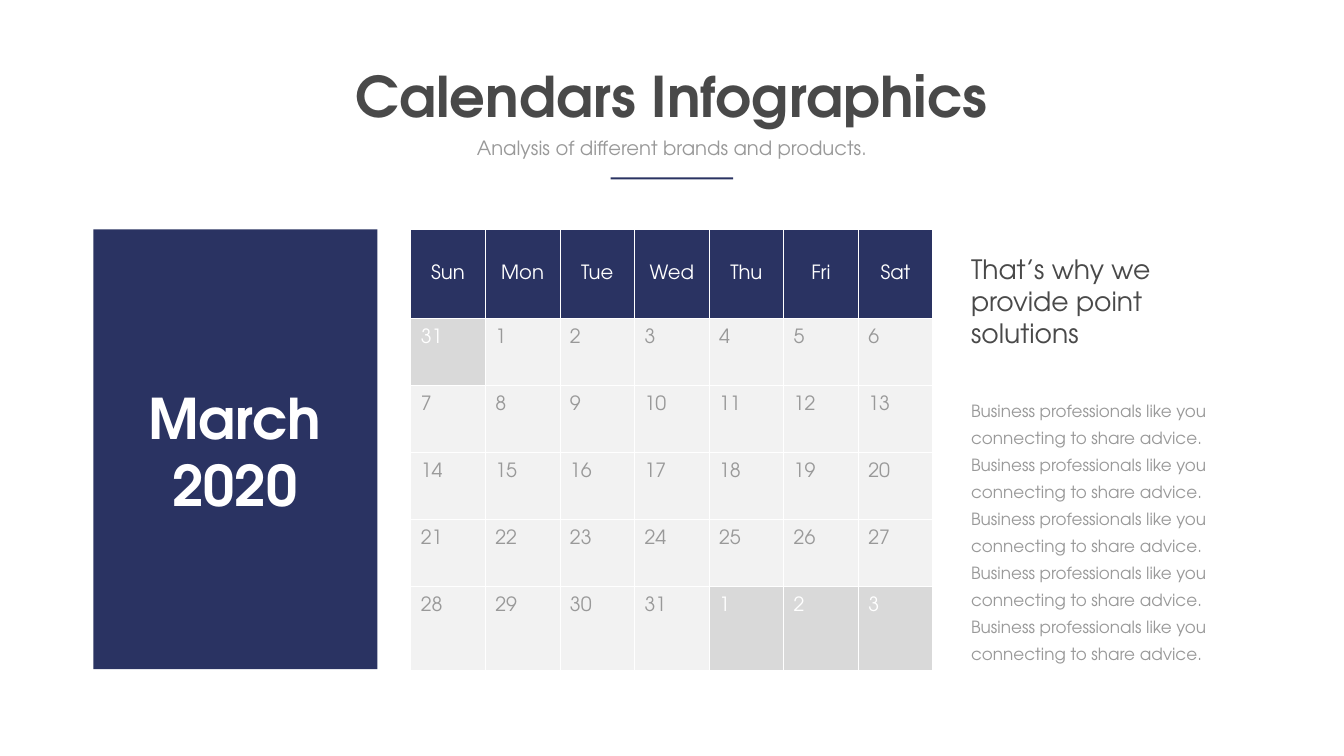
"""Build a calendar slide with a month panel, a day table and a text column."""
from lxml.etree import SubElement
from pptx import Presentation
from pptx.dml.color import RGBColor
from pptx.enum.shapes import MSO_SHAPE
from pptx.enum.text import MSO_ANCHOR as Anchor, MSO_AUTO_SIZE as AutoSize, PP_ALIGN as Align
from pptx.oxml.ns import qn
from pptx.util import Inches, Pt

NAVY = RGBColor(0x2A, 0x33, 0x62)
DARK = RGBColor(0x49, 0x49, 0x49)
GRAY = RGBColor(0x99, 0x99, 0x99)
SILVER = RGBColor(0xD9, 0xD9, 0xD9)
PALE = RGBColor(0xF2, 0xF2, 0xF2)
WHITE = RGBColor(0xFF, 0xFF, 0xFF)
FONT = "TeX Gyre Adventor"
PANEL_TOP, PANEL_HEIGHT = 30.33, 58.2
TEXT_LEFT = 71.88

presentation = Presentation()
presentation.slide_width = Inches(26.67)
presentation.slide_height = Inches(15)
slide = presentation.slides.add_slide(presentation.slide_layouts[1])
shapes = slide.shapes


def area(left, top, width, height):
    """Turn percentages of the slide into left, top, width and height."""
    across, down = presentation.slide_width / 100, presentation.slide_height / 100
    return [round(value) for value in (left * across, top * down, width * across, height * down)]


def write(frame, text, size, color, align=Align.LEFT, bold=False, spacing=1.0, wrap=True):
    """Fill a text frame with one paragraph for each line of the text."""
    frame.word_wrap = wrap
    frame.text = text
    for paragraph in frame.paragraphs:
        properties = paragraph._p.get_or_add_pPr()
        properties.set("marL", "0")
        properties.set("indent", "0")
        SubElement(properties, qn("a:buNone"))
        paragraph.alignment = align
        paragraph.line_spacing = spacing
        paragraph.space_before = Pt(0)
        paragraph.font.name = FONT
        paragraph.font.size = Pt(size)
        paragraph.font.bold = bold
        paragraph.font.color.rgb = color


title, body = shapes.title, slide.placeholders[1]
advice = "\n".join(["Business professionals like you connecting to share advice."] * 5)
for placeholder, place in (
    (title, area(25.83, 7.8, 48.33, 9.67)),
    (body, area(TEXT_LEFT, 51.73, 19.46, 36.73)),
):
    placeholder.left, placeholder.top, placeholder.width, placeholder.height = place
    placeholder.text_frame.auto_size = AutoSize.NONE
    placeholder.text_frame.vertical_anchor = Anchor.TOP
write(title.text_frame, "Calendars Infographics", 80, DARK, align=Align.CENTER, bold=True, wrap=False)
write(body.text_frame, advice, 24, GRAY, spacing=Pt(38.6))

for place in (area(45.44, 23.47, 9.11, 0.27), area(6.94, PANEL_TOP, 21.15, PANEL_HEIGHT)):
    bar = shapes.add_shape(MSO_SHAPE.RECTANGLE, *place)
    bar.shadow.inherit = False
    bar.fill.solid()
    bar.fill.fore_color.rgb = NAVY
    bar.line.fill.background()

subtitle = shapes.add_textbox(*area(32.06, 17.67, 35.85, 3.8))
write(subtitle.text_frame, "Analysis of different brands and products.", 28, GRAY, align=Align.CENTER)
month = shapes.add_textbox(*area(10.54, 50.4, 13.87, 18.6))
write(month.text_frame, "March\n2020", 80, WHITE, align=Align.CENTER, bold=True, wrap=False)
heading = shapes.add_textbox(*area(TEXT_LEFT, 33.13, 18.11, 13.47))
write(heading.text_frame, "That’s why we\nprovide point\nsolutions", 38, DARK)

weekdays = ["Sun", "Mon", "Tue", "Wed", "Thu", "Fri", "Sat"]
days = [31, *range(1, 32), 1, 2, 3]
labels = weekdays + [str(day) for day in days]
row_shares = [11.8] + [8.87] * 4 + [11]
calendar = shapes.add_table(
    len(row_shares), len(weekdays), *area(30.56, PANEL_TOP, 38.85, PANEL_HEIGHT)
).table
for row, share in zip(calendar.rows, row_shares):
    row.height = round(presentation.slide_height * share / 100)

for index, (cell, label) in enumerate(zip(calendar.iter_cells(), labels)):
    is_header = index < len(weekdays)
    is_outside = index == len(weekdays) or index >= len(labels) - 3
    cell_properties = cell._tc.get_or_add_tcPr()
    for side in ("a:lnL", "a:lnR", "a:lnT", "a:lnB"):
        border = SubElement(cell_properties, qn(side), w=str(Pt(1)))
        SubElement(SubElement(border, qn("a:solidFill")), qn("a:srgbClr"), val=str(WHITE))
    cell.fill.solid()
    cell.fill.fore_color.rgb = NAVY if is_header else SILVER if is_outside else PALE
    cell.vertical_anchor = Anchor.MIDDLE if is_header else Anchor.TOP
    cell.margin_left = Inches(0.14 if is_header else 0.2)
    cell.margin_right = Inches(0.14 if is_header else 0.1)
    cell.margin_top = Inches(0.07 if is_header else 0.2)
    cell.margin_bottom = Inches(0.07 if is_header else 0.05)
    write(
        cell.text_frame, label, 28, WHITE if is_header or is_outside else GRAY,
        align=Align.CENTER if is_header else Align.LEFT,
    )

presentation.save("out.pptx")
